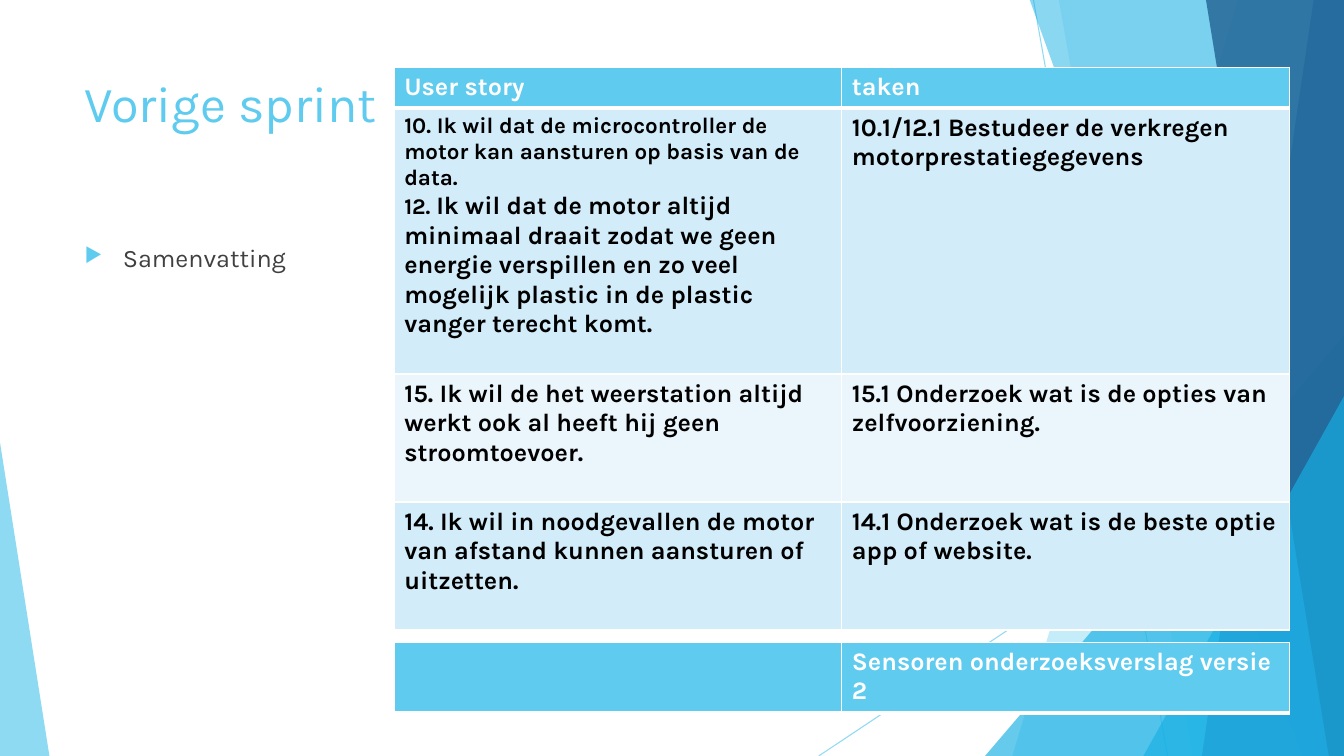
from dataclasses import dataclass

from pptx import Presentation
from pptx import util as u
from pptx.dml import color
from pptx.enum import shapes, text
from pptx.oxml import ns, xmlchemy

COLORS = {
    "sky": "5FCBEF", "cyan": "17B0E4", "blue": "2E83C3", "navy": "226292",
    "white": "FFFFFF", "black": "000000", "gray": "404040",
    "band": "D2ECF9", "light_band": "EAF6FC",
}
FONT = "Karla"
TOP, BOTTOM, RIGHT = -0.01, 7.5, 13.33
TABLE_LEFT, COLUMN_WIDTH = 3.91, 4.44


@dataclass
class Ray:
    start: tuple[float, float]
    end: tuple[float, float]


@dataclass
class Panel:
    top_left: float
    bottom_left: float
    color: str
    alpha: int


@dataclass
class Triangle:
    left: float
    top: float
    width: float
    apex: float
    color: str
    alpha: int


@dataclass
class Run:
    text: str
    size: int = 18
    color: str = "black"
    bold: bool = True


@dataclass
class Row:
    height: float
    fill: str
    cells: list[list[list[Run]]]
    bottom_border: int = 1


RAYS = [Ray((10.25, 0), (11.58, 7.5)), Ray((13.33, 4.03), (8.12, 7.5))]
DECORATIONS = [
    Panel(12.28, 10.04, "sky", 36),
    Panel(10.5, 11.83, "sky", 20),
    Triangle(9.77, 3.33, 3.56, 1, "cyan", 66),
    Panel(10.21, 12.91, "cyan", 50),
    Panel(13.03, 11.92, "blue", 70),
    Panel(11.96, 13.18, "navy", 80),
    Triangle(11.34, 3.93, 1.99, 1, "cyan", 66),
    Triangle(0, 4.39, 0.49, 0, "sky", 70),
]
STORY_ROWS = [
    Row(0.4, "sky", [[[Run("User story", color="white")]],
                     [[Run("taken", color="white")]]], 3),
    Row(2.64, "band", [
        [[Run("10. Ik wil dat de microcontroller de motor kan aansturen op basis van de data.", 16)],
         [Run("12. ", 16),
          Run("Ik wil dat de motor altijd minimaal draait zodat we geen energie verspillen "
              "en zo veel mogelijk plastic in de plastic vanger terecht komt.")]],
        [[Run("10.1/12.1 Bestudeer de verkregen motorprestatiegegevens")]]]),
    Row(1.27, "light_band", [
        [[Run("15. Ik wil de het weerstation altijd werkt ook al heeft hij geen stroomtoevoer.")]],
        [[Run("15.1 Onderzoek wat is de opties van zelfvoorziening.")]]]),
    Row(1.27, "band", [
        [[Run("14. Ik wil in noodgevallen de motor van afstand kunnen aansturen of uitzetten.")]],
        [[Run("14.1 Onderzoek wat is de beste optie app of website.")]]]),
]
REPORT_ROWS = [
    Row(0.68, "sky", [[[]], [[Run("Sensoren onderzoeksverslag versie 2", color="white")]]], 3),
]


def rgb(name: str) -> color.RGBColor:
    return color.RGBColor.from_string(COLORS[name])


def paint(fill, name: str) -> None:
    fill.solid()
    fill.fore_color.rgb = rgb(name)


def add_child(parent, tag: str, **attributes):
    child = xmlchemy.OxmlElement(tag)
    for key, value in attributes.items():
        child.set(key, str(value))
    parent.append(child)
    return child


def set_alpha(properties, percent: int) -> None:
    srgb = next(properties.iter(ns.qn("a:srgbClr")))
    add_child(srgb, "a:alpha", val=percent * 1000)


def draw_ray(slide, ray: Ray) -> None:
    points = [u.Inches(value) for value in (*ray.start, *ray.end)]
    connector = slide.shapes.add_connector(shapes.MSO_CONNECTOR.STRAIGHT, *points)
    connector.line.width = u.Pt(0.75)
    paint(connector.line.fill, "sky")
    set_alpha(connector.line._ln, 70)
    add_child(connector._element.spPr, "a:effectLst")


def draw_decoration(slide, item: Panel | Triangle) -> None:
    if isinstance(item, Panel):
        builder = slide.shapes.build_freeform(
            u.Inches(item.top_left), u.Inches(TOP), scale=1.0)
        corners = [(RIGHT, TOP), (RIGHT, BOTTOM), (item.bottom_left, BOTTOM)]
        builder.add_line_segments([(u.Inches(x), u.Inches(y)) for x, y in corners])
        shape = builder.convert_to_shape()
    else:
        shape = slide.shapes.add_shape(
            shapes.MSO_SHAPE.ISOSCELES_TRIANGLE, u.Inches(item.left), u.Inches(item.top),
            u.Inches(item.width), u.Inches(BOTTOM - item.top))
        shape.adjustments[0] = item.apex
    shape.shadow.inherit = False
    shape.line.fill.background()
    paint(shape.fill, item.color)
    set_alpha(shape._element.spPr, item.alpha)


def write_run(paragraph, item: Run) -> None:
    run = paragraph.add_run()
    run.text = item.text
    formats = {"name": FONT, "size": u.Pt(item.size), "bold": item.bold}
    for key, value in formats.items():
        setattr(run.font, key, value)
    run.font.color.rgb = rgb(item.color)


def draw_text(slide, top: float, height: float, item: Run):
    box = slide.shapes.add_textbox(
        u.Inches(0.74), u.Inches(top), u.Inches(9.4), u.Inches(height))
    formats = {"word_wrap": True, "vertical_anchor": text.MSO_ANCHOR.TOP}
    for key, value in formats.items():
        setattr(box.text_frame, key, value)
    paragraph = box.text_frame.paragraphs[0]
    write_run(paragraph, item)
    return paragraph


def add_bullet(paragraph) -> None:
    paragraph.space_before = u.Pt(10)
    properties = paragraph._p.get_or_add_pPr()
    properties.set("marL", str(u.Inches(0.38)))
    properties.set("indent", str(u.Inches(-0.38)))
    bullet_color = add_child(properties, "a:buClr")
    add_child(bullet_color, "a:srgbClr", val=COLORS["sky"])
    add_child(properties, "a:buSzPct", val=80000)
    add_child(properties, "a:buChar", char="▶")


def add_borders(cell, bottom: int) -> None:
    properties = cell._tc.get_or_add_tcPr()
    for side, width in {"L": 1, "R": 1, "T": 1, "B": bottom}.items():
        line = add_child(properties, f"a:ln{side}", w=u.Pt(width))
        add_child(add_child(line, "a:solidFill"), "a:srgbClr", val=COLORS["white"])


def draw_table(slide, top: float, rows: list[Row]) -> None:
    frame = slide.shapes.add_table(
        len(rows), 2, u.Inches(TABLE_LEFT), u.Inches(top),
        u.Inches(2 * COLUMN_WIDTH), u.Inches(sum(row.height for row in rows)))
    table = frame.table
    table.horz_banding = False
    for column in table.columns:
        column.width = u.Inches(COLUMN_WIDTH)
    for row_index, row in enumerate(rows):
        table.rows[row_index].height = u.Inches(row.height)
        for cell, paragraphs in zip(table.rows[row_index].cells, row.cells):
            add_borders(cell, row.bottom_border)
            paint(cell.fill, row.fill)
            for index, runs in enumerate(paragraphs):
                frame_text = cell.text_frame
                paragraph = frame_text.add_paragraph() if index else frame_text.paragraphs[0]
                for run in runs:
                    write_run(paragraph, run)


def main() -> None:
    presentation = Presentation()
    presentation.slide_width = u.Inches(13.33)
    presentation.slide_height = u.Inches(7.5)
    slide = presentation.slides.add_slide(presentation.slide_layouts[6])
    for ray in RAYS:
        draw_ray(slide, ray)
    for decoration in DECORATIONS:
        draw_decoration(slide, decoration)
    draw_text(slide, 0.67, 1.44, Run("Vorige sprint", 36, "sky", False))
    add_bullet(draw_text(slide, 2.36, 4.24, Run("Samenvatting", 18, "gray", False)))
    draw_table(slide, 0.67, STORY_ROWS)
    draw_table(slide, 6.37, REPORT_ROWS)
    presentation.save("out.pptx")


if __name__ == "__main__":
    main()
